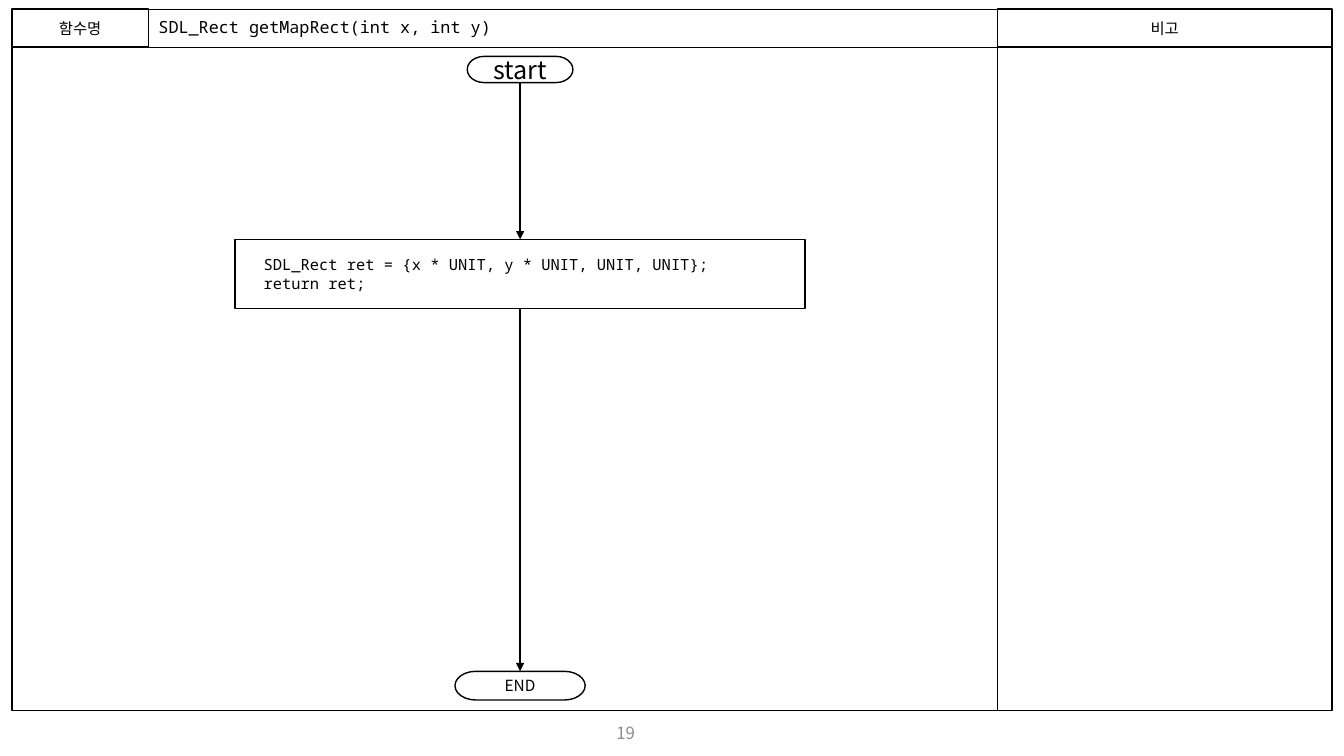
from lxml import etree
from pptx import Presentation
from pptx.dml.color import RGBColor
from pptx.enum.shapes import MSO_CONNECTOR, MSO_SHAPE
from pptx.enum.text import MSO_ANCHOR, MSO_AUTO_SIZE, PP_ALIGN
from pptx.oxml.ns import qn
from pptx.util import Pt

BLACK = RGBColor(0x00, 0x00, 0x00)
WHITE = RGBColor(0xFF, 0xFF, 0xFF)
GRAY = RGBColor(0x8C, 0x8C, 0x8C)
SANS = "Noto Sans CJK KR"
MONO = "Noto Sans Mono"
RECT = MSO_SHAPE.RECTANGLE
TERMINATOR = MSO_SHAPE.FLOWCHART_TERMINATOR
STRAIGHT = MSO_CONNECTOR.STRAIGHT
LEFT, CENTER = PP_ALIGN.LEFT, PP_ALIGN.CENTER
MIDDLE = MSO_ANCHOR.MIDDLE
NO_AUTOFIT = MSO_AUTO_SIZE.NONE
TOP_SITE, BOTTOM_SITE = 0, 2

# Form grid, in points
FORM_LEFT, NAME_LEFT, REMARK_LEFT, FORM_RIGHT = 8.5, 106, 712.5, 951.5
HEADER_TOP, BODY_TOP, BODY_BOTTOM = 6.5, 33.75, 507.5
FLOW_X = 371.5


def write(shape, text, size=11, font=SANS, color=BLACK, align=CENTER, spacing=1.0):
    """Fill a shape with vertically centred text, one paragraph per line."""
    frame = shape.text_frame
    frame.word_wrap = True
    frame.auto_size = NO_AUTOFIT
    frame.vertical_anchor = MIDDLE
    frame.margin_left = frame.margin_right = Pt(7.2)
    frame.margin_top = frame.margin_bottom = 0
    frame.text = text
    for paragraph in frame.paragraphs:
        paragraph.alignment = align
        paragraph.line_spacing = spacing
        for run in paragraph.runs:
            run.font.size = Pt(size)
            run.font.color.rgb = color
            run.font.name = font
            east_asian = etree.SubElement(run.font._element, qn("a:ea"))
            east_asian.set("typeface", font)


class FlowSheet:
    """The current slide and the line style of its form and flowchart."""

    def __init__(self, slide, line_width=1):
        self.slide = slide
        self.line_width = line_width

    def outline(self, shape, width=None):
        shape.line.color.rgb = BLACK
        shape.line.width = Pt(width or self.line_width)

    def title(self, left, top, right, bottom, text, **style):
        title = self.slide.shapes.title
        title.left, title.top = Pt(left), Pt(top)
        title.width, title.height = Pt(right - left), Pt(bottom - top)
        self.outline(title, 0.75)
        write(title, text, **style)

    def cell(self, left, top, right, bottom, text=""):
        cell = self.slide.shapes.add_shape(
            RECT, Pt(left), Pt(top), Pt(right - left), Pt(bottom - top))
        cell.shadow.inherit = False
        cell.fill.background()
        self.outline(cell)
        if text:
            write(cell, text)

    def step(self, kind, top, width, height, text, **style):
        """Add a flowchart step centred on the flow axis."""
        step = self.slide.shapes.add_shape(
            kind, Pt(FLOW_X - width / 2), Pt(top), Pt(width), Pt(height))
        step.shadow.inherit = False
        step.fill.solid()
        step.fill.fore_color.rgb = WHITE
        self.outline(step)
        write(step, text, **style)
        return step

    def arrow(self, source, target):
        arrow = self.slide.shapes.add_connector(STRAIGHT, 0, 0, 0, 0)
        arrow.begin_connect(source, BOTTOM_SITE)
        arrow.end_connect(target, TOP_SITE)
        self.outline(arrow)
        etree.SubElement(arrow.line._get_or_add_ln(), qn("a:tailEnd")).set("type", "triangle")
        etree.SubElement(arrow._element.spPr, qn("a:effectLst"))

    def label(self, left, top, width, height, text, **style):
        label = self.slide.shapes.add_textbox(Pt(left), Pt(top), Pt(width), Pt(height))
        write(label, text, **style)


def main():
    deck = Presentation()
    deck.slide_width, deck.slide_height = Pt(960), Pt(540)
    sheet = FlowSheet(deck.slides.add_slide(deck.slide_layouts[5]))

    sheet.title(NAME_LEFT, HEADER_TOP, REMARK_LEFT, BODY_TOP,
                "SDL_Rect getMapRect(int x, int y)",
                size=12, font=MONO, align=LEFT, spacing=0.9)
    sheet.cell(FORM_LEFT, HEADER_TOP, NAME_LEFT, BODY_TOP, "함수명")
    sheet.cell(REMARK_LEFT, HEADER_TOP, FORM_RIGHT, BODY_TOP, "비고")
    sheet.cell(FORM_LEFT, BODY_TOP, REMARK_LEFT, BODY_BOTTOM)
    sheet.cell(REMARK_LEFT, BODY_TOP, FORM_RIGHT, BODY_BOTTOM)
    sheet.label(339, 513.5, 216, 20, "19", size=12, color=GRAY)

    start = sheet.step(TERMINATOR, 40.25, 75.5, 18.75, "start", size=18)
    end = sheet.step(TERMINATOR, 479.5, 93, 20.5, "END")
    body = sheet.step(RECT, 171, 407, 49.25,
                      "  SDL_Rect ret = {x * UNIT, y * UNIT, UNIT, UNIT};\n  return ret;",
                      font=MONO, align=LEFT)
    sheet.arrow(start, body)
    sheet.arrow(body, end)

    deck.save("out.pptx")


if __name__ == "__main__":
    main()
